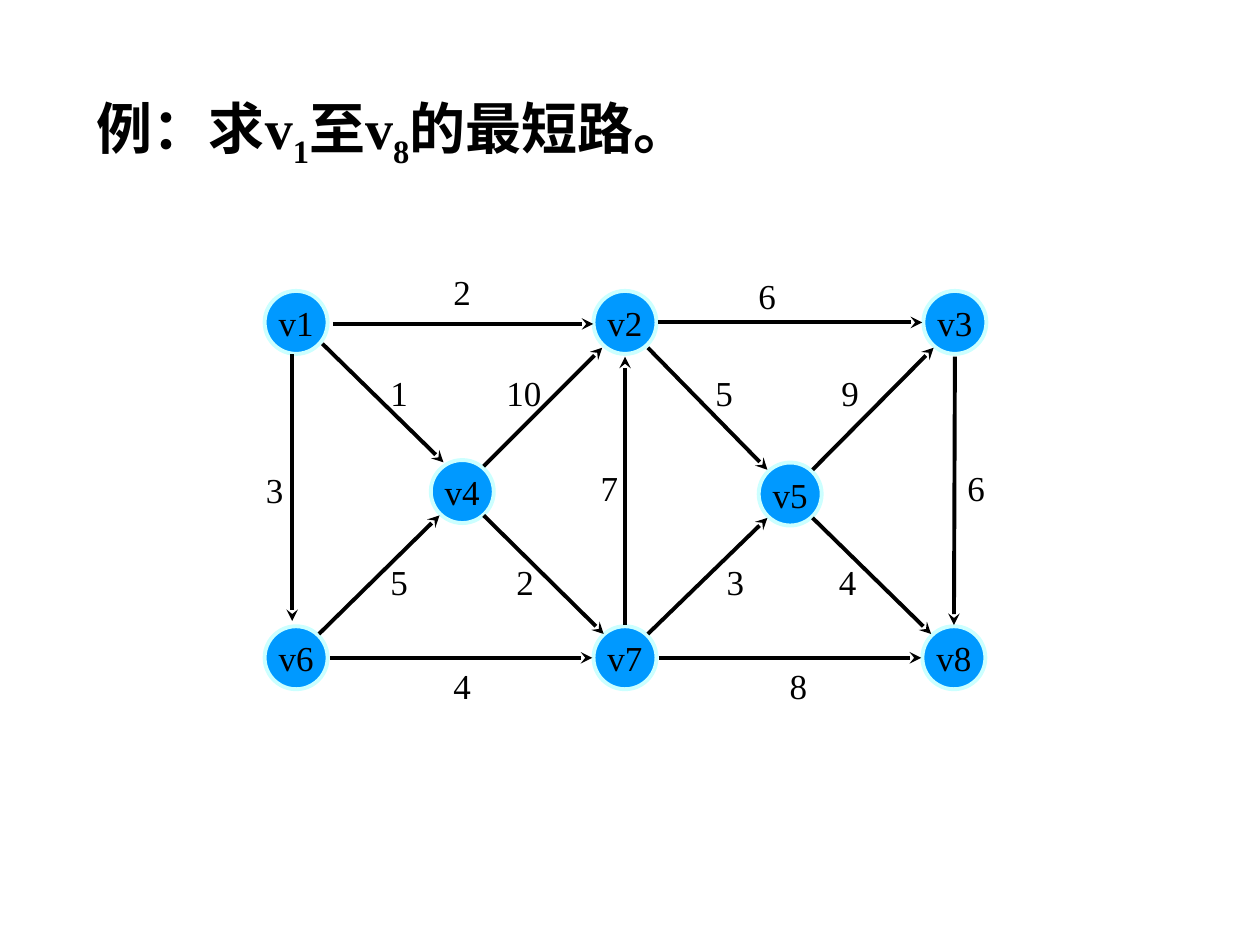
from lxml import etree
from pptx import Presentation
from pptx.dml.color import RGBColor
from pptx.enum.shapes import MSO_CONNECTOR, MSO_SHAPE
from pptx.enum.text import MSO_ANCHOR, MSO_AUTO_SIZE, PP_ALIGN
from pptx.oxml.ns import qn
from pptx.util import Cm, Pt

STRAIGHT = MSO_CONNECTOR.STRAIGHT
OVAL = MSO_SHAPE.OVAL
MIDDLE = MSO_ANCHOR.MIDDLE
CENTER = PP_ALIGN.CENTER
GROW = MSO_AUTO_SIZE.SHAPE_TO_FIT_TEXT


def rgb(value):
    return RGBColor.from_string(value)


class GraphSlide:
    font = "Times New Roman"
    ink = "000000"
    node_fill = "0099FF"
    node_line = "CCFFFF"
    line_width = Pt(2.25)
    node_size = 1.27
    title_size = 32
    text_size = 20

    def __init__(self, slide):
        self.s = slide

    def run(self, p, text, size, bold=False, subscript=False):
        r = p.add_run()
        r.text = text
        r.font.name = self.font
        r.font.size = Pt(size)
        r.font.bold = bold
        r.font.color.rgb = rgb(self.ink)
        if subscript:
            r.font._element.set("baseline", "-25000")

    def title(self, x, y, w, h, parts):
        sp = self.s.shapes.add_textbox(Cm(x), Cm(y), Cm(w), Cm(h))
        tf = sp.text_frame
        tf.word_wrap = True
        tf.vertical_anchor = MIDDLE
        for text, subscript in parts:
            self.run(tf.paragraphs[0], text, self.title_size, True, subscript)

    def node(self, name, cx, cy):
        d = self.node_size
        sp = self.s.shapes.add_shape(OVAL, Cm(cx - d / 2), Cm(cy - d / 2), Cm(d), Cm(d))
        sp.shadow.inherit = False
        sp.fill.solid()
        sp.fill.fore_color.rgb = rgb(self.node_fill)
        sp.line.color.rgb = rgb(self.node_line)
        sp.line.width = self.line_width
        tf = sp.text_frame
        tf.word_wrap = False
        tf.vertical_anchor = MIDDLE
        p = tf.paragraphs[0]
        p.alignment = CENTER
        self.run(p, name, self.text_size)

    def arrow(self, x1, y1, x2, y2):
        sp = self.s.shapes.add_connector(STRAIGHT, Cm(x1), Cm(y1), Cm(x2), Cm(y2))
        sp.line.color.rgb = rgb(self.ink)
        sp.line.width = self.line_width
        etree.SubElement(sp.line._get_or_add_ln(), qn("a:tailEnd"), type="stealth")
        etree.SubElement(sp._element.spPr, qn("a:effectLst"))

    def weight(self, text, x, y):
        width = 1.07 if len(text) == 1 else 1.27
        sp = self.s.shapes.add_textbox(Cm(x), Cm(y), Cm(width), Cm(1.11))
        tf = sp.text_frame
        tf.word_wrap = True
        tf.auto_size = GROW
        self.run(tf.paragraphs[0], text, self.text_size)


TITLE = [("例：求v", False), ("1", True), ("至v", False), ("8", True),
         ("的最短路。", False)]

# Node centres in cm
NODES = {
    "v1": (5.97, 6.5), "v2": (12.6, 6.5), "v3": (19.25, 6.5),
    "v4": (9.32, 9.91), "v5": (15.93, 9.96),
    "v6": (5.97, 13.26), "v7": (12.6, 13.26), "v8": (19.23, 13.26),
}

# Edges in cm: arrow start and end, weight, corner of its label
EDGES = [
    # Top and bottom rows
    ((6.71, 6.53, 11.96, 6.53), "2", (8.89, 5.33)),
    ((13.26, 6.5, 18.59, 6.5), "6", (15.04, 5.41)),
    ((6.65, 13.26, 11.94, 13.26), "4", (8.89, 13.28)),
    ((13.28, 13.26, 18.57, 13.26), "8", (15.67, 13.28)),
    # Verticals
    ((5.89, 7.14, 5.89, 12.52), "3", (5.11, 9.32)),
    ((12.6, 12.6, 12.6, 7.19), "7", (11.86, 9.27)),
    ((19.25, 7.19, 19.23, 12.6), "6", (19.25, 9.27)),
    # Diagonals around v4
    ((6.5, 6.93, 8.94, 9.32), "1", (7.62, 7.37)),
    ((9.75, 9.4, 12.14, 7.01), "10", (9.96, 7.37)),
    ((6.43, 12.78, 8.86, 10.39), "5", (7.62, 11.18)),
    ((9.75, 10.39, 12.17, 12.78), "2", (10.16, 11.18)),
    # Diagonals around v5
    ((13.06, 7.01, 15.47, 9.47), "5", (14.17, 7.37)),
    ((16.38, 9.47, 18.82, 7.01), "9", (16.71, 7.37)),
    ((13.06, 12.78, 15.47, 10.44), "3", (14.4, 11.18)),
    ((16.38, 10.44, 18.77, 12.78), "4", (16.66, 11.18)),
]


def main():
    prs = Presentation()
    prs.slide_width, prs.slide_height = Cm(25.4), Cm(19.05)
    graph = GraphSlide(prs.slides.add_slide(prs.slide_layouts[6]))

    # Title
    graph.title(1.7, 1.7, 21.59, 1.9, TITLE)

    # Graph
    for name, centre in NODES.items():
        graph.node(name, *centre)
    for ends, weight, corner in EDGES:
        graph.arrow(*ends)
        graph.weight(weight, *corner)

    prs.save("out.pptx")


if __name__ == "__main__":
    main()
